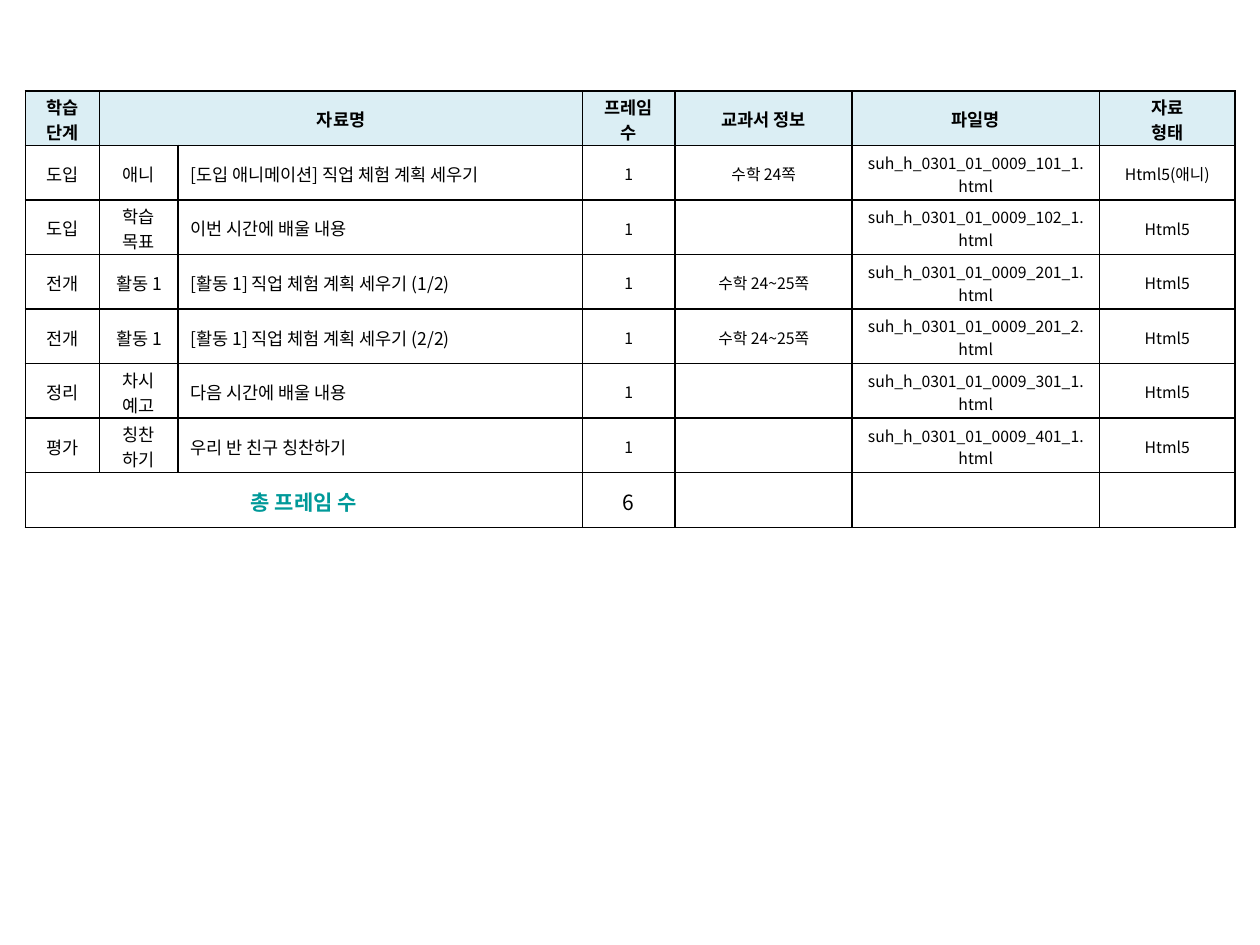
from lxml.etree import SubElement
from pptx import Presentation
from pptx.dml.color import RGBColor
from pptx.enum.text import MSO_ANCHOR as Anchor, PP_ALIGN as Align
from pptx.oxml.ns import qn
from pptx.util import Cm, Pt

FONT = "Noto Sans CJK KR"
BLACK, TEAL, HEADER_FILL = "000000", "009999", "DBEEF4"
COLUMN_WIDTHS = [1.5, 1.58, 8.15, 1.87, 3.57, 4.98, 2.74]
ROW_HEIGHT = 1.1
TITLE_COLUMN = 2
SMALL_TEXT_COLUMN = 3  # this column and those after it use smaller text

HEADER = ["학습 단계", "자료명", "", "프레임 수", "교과서 정보", "파일명", "자료\n형태"]
# stage, activity, title, textbook pages, file number, format
MATERIALS = [
    ("도입", "애니", "[도입 애니메이션] 직업 체험 계획 세우기", "수학 24쪽", "101_1", "Html5(애니)"),
    ("도입", "학습 목표", "이번 시간에 배울 내용", "", "102_1", "Html5"),
    ("전개", "활동 1", "[활동 1] 직업 체험 계획 세우기 (1/2)", "수학 24~25쪽", "201_1", "Html5"),
    ("전개", "활동 1", "[활동 1] 직업 체험 계획 세우기 (2/2)", "수학 24~25쪽", "201_2", "Html5"),
    ("정리", "차시 예고", "다음 시간에 배울 내용", "", "301_1", "Html5"),
    ("평가", "칭찬\n하기", "우리 반 친구 칭찬하기", "", "401_1", "Html5"),
]
rows = [HEADER]
for stage, activity, title, pages, number, file_format in MATERIALS:
    file_name = f"suh_h_0301_01_0009_{number}.html"
    rows.append([stage, activity, title, "1", pages, file_name, file_format])
rows.append(["총 프레임 수", "", "", str(len(MATERIALS)), "", "", ""])
last_row = len(rows) - 1


def color(hex_string):
    return RGBColor.from_string(hex_string)


def add_borders(cell):
    """Draw a 1 pt black line on all four sides; call before setting the fill."""
    properties = cell._tc.get_or_add_tcPr()
    for side in ("lnL", "lnR", "lnT", "lnB"):
        line = SubElement(properties, qn(f"a:{side}"), w=str(Pt(1)))
        fill = SubElement(line, qn("a:solidFill"))
        SubElement(fill, qn("a:srgbClr"), val=BLACK)


presentation = Presentation()
presentation.slide_width, presentation.slide_height = Cm(25.4), Cm(19.05)
slide = presentation.slides.add_slide(presentation.slide_layouts[6])

table = slide.shapes.add_table(
    len(rows), len(COLUMN_WIDTHS), Cm(0.51), Cm(1.83),
    Cm(sum(COLUMN_WIDTHS)), Cm(ROW_HEIGHT * len(rows)),
).table
for column, width in zip(table.columns, COLUMN_WIDTHS):
    column.width = Cm(width)
for row in table.rows:
    row.height = Cm(ROW_HEIGHT)

cell_format = {
    "vertical_anchor": Anchor.MIDDLE,
    "margin_left": Cm(0.25),
    "margin_right": Cm(0.25),
    "margin_top": Cm(0.05),  # lets two lines fit the row
    "margin_bottom": Cm(0),
}

for row_index, texts in enumerate(rows):
    is_header, is_total = row_index == 0, row_index == last_row
    for column_index, text in enumerate(texts):
        cell = table.cell(row_index, column_index)
        for name, value in cell_format.items():
            setattr(cell, name, value)
        add_borders(cell)
        if is_header:
            cell.fill.solid()
            cell.fill.fore_color.rgb = color(HEADER_FILL)
        else:
            cell.fill.background()

        is_total_label = is_total and column_index == 0
        is_material = not is_header and not is_total
        size = 12 if is_total else 10
        if is_material and column_index >= SMALL_TEXT_COLUMN:
            size = 9
        font_format = {
            "name": FONT,
            "size": Pt(size),
            "bold": is_header or is_total_label,
        }
        is_title = is_material and column_index == TITLE_COLUMN
        cell.text = text
        for paragraph in cell.text_frame.paragraphs:
            paragraph.alignment = Align.LEFT if is_title else Align.CENTER
            for run in paragraph.runs:
                for name, value in font_format.items():
                    setattr(run.font, name, value)
                run.font.color.rgb = color(TEAL if is_total_label else BLACK)
                SubElement(run.font._element, qn("a:ea"), typeface=FONT)
            if not paragraph.runs:  # keeps empty cells from stretching the row
                SubElement(paragraph._p, qn("a:endParaRPr"), sz=str(size * 100))

table.cell(0, 1).merge(table.cell(0, 2))
table.cell(last_row, 0).merge(table.cell(last_row, 2))

presentation.save("out.pptx")
